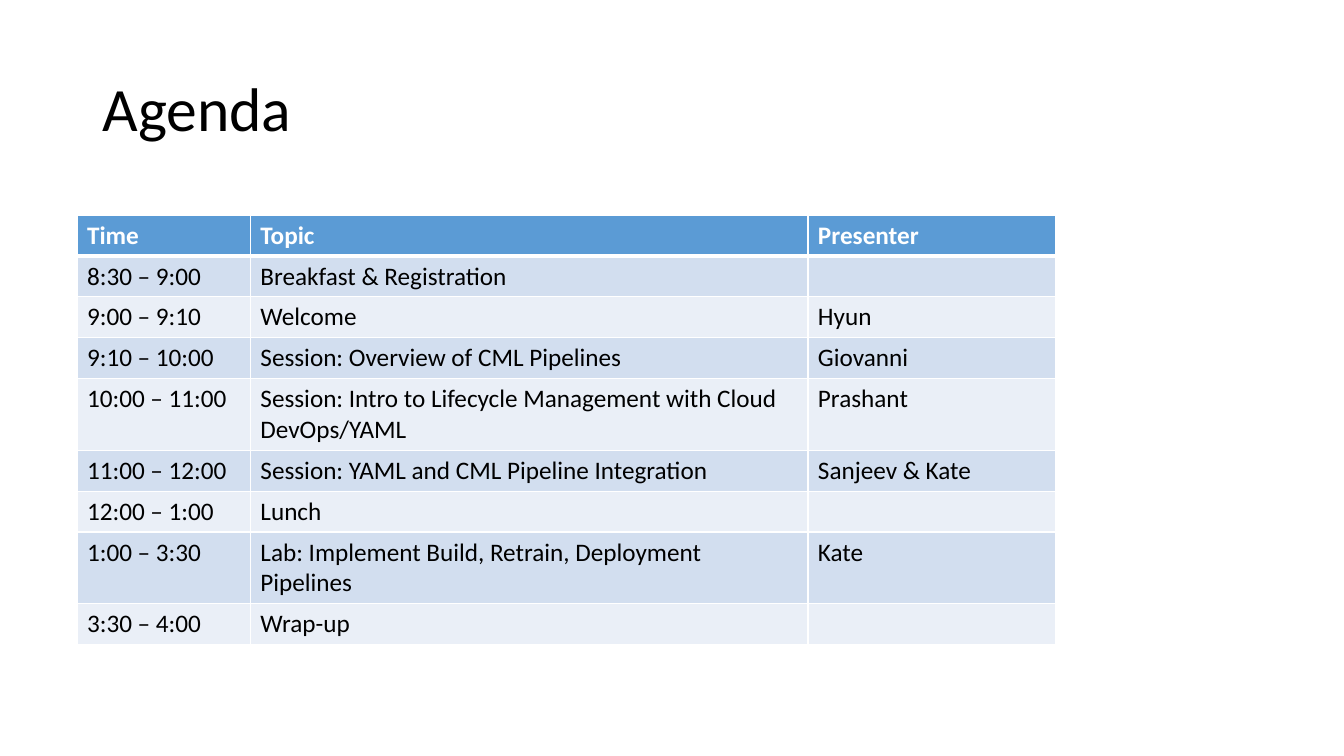
from dataclasses import dataclass

from lxml.etree import SubElement as Sub
from pptx import Presentation
from pptx.dml.color import RGBColor as Rgb
from pptx.enum.text import MSO_ANCHOR as Anchor, MSO_AUTO_SIZE as Fit, PP_ALIGN as Align
from pptx.oxml.ns import qn
from pptx.util import Cm, Pt


@dataclass(frozen=True)
class Theme:
    font: str = "Calibri"
    ink: str = "000000"
    paper: str = "FFFFFF"
    head: str = "5B9BD5"
    bands: tuple = ("D2DEEF", "EAEFF7")
    title: int = 44
    body: int = 18
    thin: int = 1
    thick: int = 3


AGENDA = [
    ("Time", "Topic", "Presenter"),
    ("8:30 – 9:00", "Breakfast & Registration", ""),
    ("9:00 – 9:10", "Welcome", "Hyun"),
    ("9:10 – 10:00", "Session: Overview of CML Pipelines", "Giovanni"),
    ("10:00 – 11:00", "Session: Intro to Lifecycle Management with Cloud DevOps/YAML", "Prashant"),
    ("11:00 – 12:00", "Session: YAML and CML Pipeline Integration", "Sanjeev & Kate"),
    ("12:00 – 1:00", "Lunch", ""),
    ("1:00 – 3:30", "Lab: Implement Build, Retrain, Deployment Pipelines", "Kate"),
    ("3:30 – 4:00", "Wrap-up", ""),
]
WIDTHS = (4.37, 14.05, 6.25)
ROW = 1.03


class Page:
    def __init__(self, slide, theme):
        self.slide = slide
        self.theme = theme

    def text(self, para, words, size, color, bold=False):
        run = para.add_run()
        run.text = words
        font = run.font
        font.name = self.theme.font
        font.size = Pt(size)
        font.bold = bold
        font.color.rgb = Rgb.from_string(color)

    def title(self, words, left, top, width, height):
        box = self.slide.shapes.title
        box.left, box.top, box.width, box.height = map(Cm, (left, top, width, height))
        frame = box.text_frame
        frame.auto_size = Fit.NONE
        frame.word_wrap = True
        frame.vertical_anchor = Anchor.MIDDLE
        para = frame.paragraphs[0]
        para.alignment = Align.LEFT
        para.line_spacing = 0.9
        self.text(para, words, self.theme.title, self.theme.ink)

    def edge(self, cell, side, width):
        """Draw one border; call before the cell is filled, as the schema orders them."""
        props = cell._tc.get_or_add_tcPr()
        line = Sub(props, qn(f"a:ln{side}"), w=str(Pt(width)))
        Sub(Sub(line, qn("a:solidFill")), qn("a:srgbClr"), val=self.theme.paper)

    def cell(self, cell, words, row):
        theme = self.theme
        head = row == 0
        heavy = {(0, "B"), (1, "T")}
        for side in "LRTB":
            self.edge(cell, side, theme.thick if (row, side) in heavy else theme.thin)
        cell.fill.solid()
        fill = theme.head if head else theme.bands[(row - 1) % 2]
        cell.fill.fore_color.rgb = Rgb.from_string(fill)
        if words:
            color = theme.paper if head else theme.ink
            self.text(cell.text_frame.paragraphs[0], words, theme.body, color, head)

    def table(self, data, left, top, widths, height):
        frame = self.slide.shapes.add_table(
            len(data), len(widths), Cm(left), Cm(top), Cm(sum(widths)), Cm(height * len(data)))
        table = frame.table
        for col, width in zip(table.columns, widths):
            col.width = Cm(width)
        for row, line in enumerate(data):
            table.rows[row].height = Cm(height)
            for col, words in enumerate(line):
                self.cell(table.cell(row, col), words, row)


def main():
    deck = Presentation()
    deck.slide_width, deck.slide_height = Cm(33.87), Cm(19.05)
    slide = deck.slides.add_slide(deck.slide_layouts.get_by_name("Title Only"))
    page = Page(slide, Theme())
    page.title("Agenda", 2.33, 0.97, 29.21, 3.68)
    page.table(AGENDA, 1.94, 5.42, WIDTHS, ROW)
    deck.save("out.pptx")


if __name__ == "__main__":
    main()
